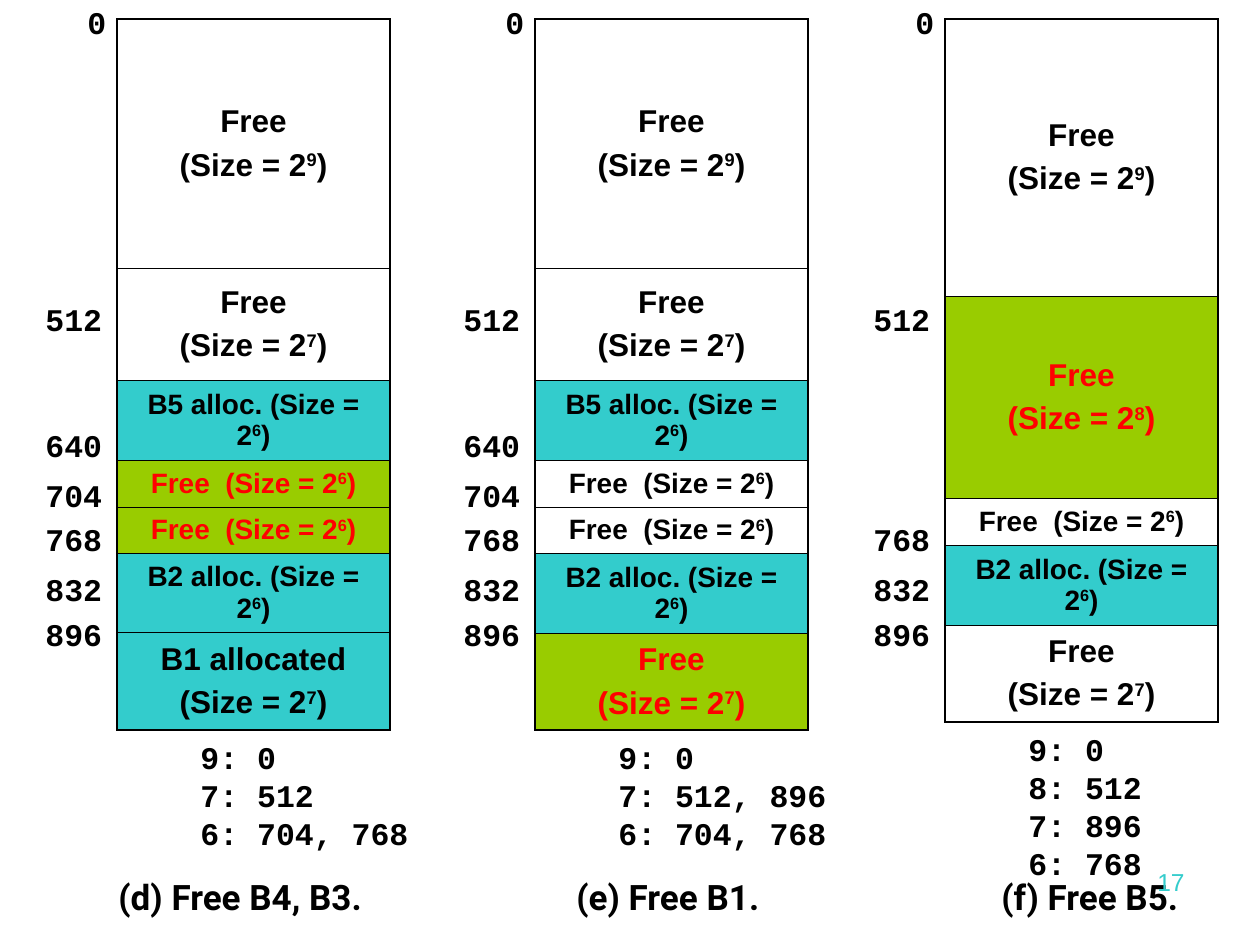
"""Build a slide of three memory maps showing buddy blocks being freed."""
from lxml import etree
from pptx import Presentation
from pptx.dml.color import RGBColor
from pptx.enum.text import MSO_ANCHOR, MSO_AUTO_SIZE, PP_ALIGN
from pptx.oxml.ns import qn
from pptx.util import Pt

MIDDLE = MSO_ANCHOR.MIDDLE
GROW = MSO_AUTO_SIZE.SHAPE_TO_FIT_TEXT
LEFT, CENTER, RIGHT = PP_ALIGN.LEFT, PP_ALIGN.CENTER, PP_ALIGN.RIGHT

THEME = {
    "ink": "000000", "red": "FF0000", "teal": "33CCCC", "green": "99CC00",
    "block": ("Arial", 18), "small": ("Arial", 16), "mono": ("Courier New", 18),
    "caption": ("Roboto", 20), "number": ("Arial", 14),
    "outer": 1.08, "inner": 0.45,
}
STATES = {"free": (None, "ink"), "held": ("teal", "ink"), "new": ("green", "red")}

TOP_ROWS = [
    ("Free\n(Size = 2^9)", "free", 249),
    ("Free\n(Size = 2^7)", "free", 112),
    ("B5 alloc. (Size = 2^6)", "held", 80),
]
SMALL = "Free  (Size = 2^6)"
LAST = "Free\n(Size = 2^7)"
B2 = ("B2 alloc. (Size = 2^6)", "held", 80)

MAPS = [
    {"left": 117, "caption": ("(d) Free B4, B3.", 106, 282),
     "rows": TOP_ROWS + [(SMALL, "new", 47), (SMALL, "new", 46), B2,
                         ("B1 allocated\n(Size = 2^7)", "held", 97)],
     "marks": ["0", "512", "640", "704", "768", "832", "896"],
     "lists": "9: 0\n7: 512\n6: 704, 768", "wide": 233},
    {"left": 535, "caption": ("(e) Free B1.", 564, 218),
     "rows": TOP_ROWS + [(SMALL, "free", 47), (SMALL, "free", 46), B2,
                         (LAST, "new", 97)],
     "marks": ["0", "512", "640", "704", "768", "832", "896"],
     "lists": "9: 0\n7: 512, 896\n6: 704, 768", "wide": 233},
    {"left": 945, "caption": ("(f) Free B5.", 989, 210),
     "rows": [("Free\n(Size = 2^9)", "free", 277),
              ("Free\n(Size = 2^8)", "new", 202),
              (SMALL, "free", 47), B2, (LAST, "free", 97)],
     "marks": ["0", "512", "768", "832", "896"],
     "lists": "9: 0\n8: 512\n7: 896\n6: 768", "wide": 139},
]
MARK_TOPS = {"0": -3, "512": 294, "640": 420, "704": 470, "768": 514,
             "832": 564, "896": 609}
TABLE_TOP, TABLE_WIDE = 19, 273


def px(count):
    return round(count * 914400 / 126)


def style(run, kind, color, bold=True):
    name, size = THEME[kind]
    run.font.name, run.font.size, run.font.bold = name, Pt(size), bold
    run.font.color.rgb = RGBColor.from_string(THEME[color])


def add_text(slide, text, box, kind, color="ink", align=LEFT, wrap=False):
    shape = slide.shapes.add_textbox(*map(px, box))
    frame = shape.text_frame
    frame.text = text
    frame.word_wrap = wrap
    if not wrap:
        frame.auto_size = GROW
    for para in frame.paragraphs:
        para.alignment = align
        for run in para.runs:
            style(run, kind, color, bold=not wrap)


def add_edges(cell, first, last):
    props = cell._tc.get_or_add_tcPr()
    outer, inner = THEME["outer"], THEME["inner"]
    edges = {"a:lnL": outer, "a:lnR": outer,
             "a:lnT": outer if first else inner,
             "a:lnB": outer if last else inner}
    for spot, (tag, width) in enumerate(edges.items()):
        line = etree.Element(qn(tag), w=str(Pt(width)))
        fill = etree.SubElement(line, qn("a:solidFill"))
        etree.SubElement(fill, qn("a:srgbClr"), val=THEME["ink"])
        props.insert(spot, line)


def fill_cell(cell, text, state):
    back, color = STATES[state]
    if back:
        cell.fill.solid()
        cell.fill.fore_color.rgb = RGBColor.from_string(THEME[back])
    else:
        cell.fill.background()
    cell.vertical_anchor = MIDDLE
    kind = "block" if "\n" in text else "small"
    base, power = text.split("^")
    cell.text_frame.text = base
    for para in cell.text_frame.paragraphs:
        para.alignment = CENTER
        para.space_before = Pt(THEME[kind][1] / 4)
    raised, close = para.add_run(), para.add_run()
    raised.text, close.text = power[0], power[1:]
    raised._r.get_or_add_rPr().set("baseline", "30000")
    for para in cell.text_frame.paragraphs:
        for run in para.runs:
            style(run, kind, color)


def add_map(slide, data):
    left, rows = data["left"], data["rows"]
    tall = sum(row[2] for row in rows)
    box = map(px, (left, TABLE_TOP, TABLE_WIDE, tall))
    table = slide.shapes.add_table(len(rows), 1, *box).table
    table.first_row = table.horz_banding = False
    for spot, (text, state, height) in enumerate(rows):
        table.rows[spot].height = px(height)
        cell = table.cell(spot, 0)
        fill_cell(cell, text, state)
        add_edges(cell, spot == 0, spot == len(rows) - 1)
    for mark in data["marks"]:
        shift, wide = (42, 44) if mark == "0" else (84, 82)
        add_text(slide, mark, (left - shift, MARK_TOPS[mark], wide, 50), "mono")
    lines = data["lists"].count("\n") + 1
    add_text(slide, data["lists"],
             (left + 71, TABLE_TOP + tall + 2, data["wide"], 13 + 38 * lines), "mono")
    text, start, wide = data["caption"]
    add_text(slide, text, (start, 869, wide, 55), "caption")


def main():
    deck = Presentation()
    deck.slide_width, deck.slide_height = px(1260), px(945)
    slide = deck.slides.add_slide(deck.slide_layouts[6])
    for data in MAPS:
        add_map(slide, data)
    add_text(slide, "17", (903, 861, 294, 66), "number", "teal", RIGHT, True)
    deck.save("out.pptx")


if __name__ == "__main__":
    main()
